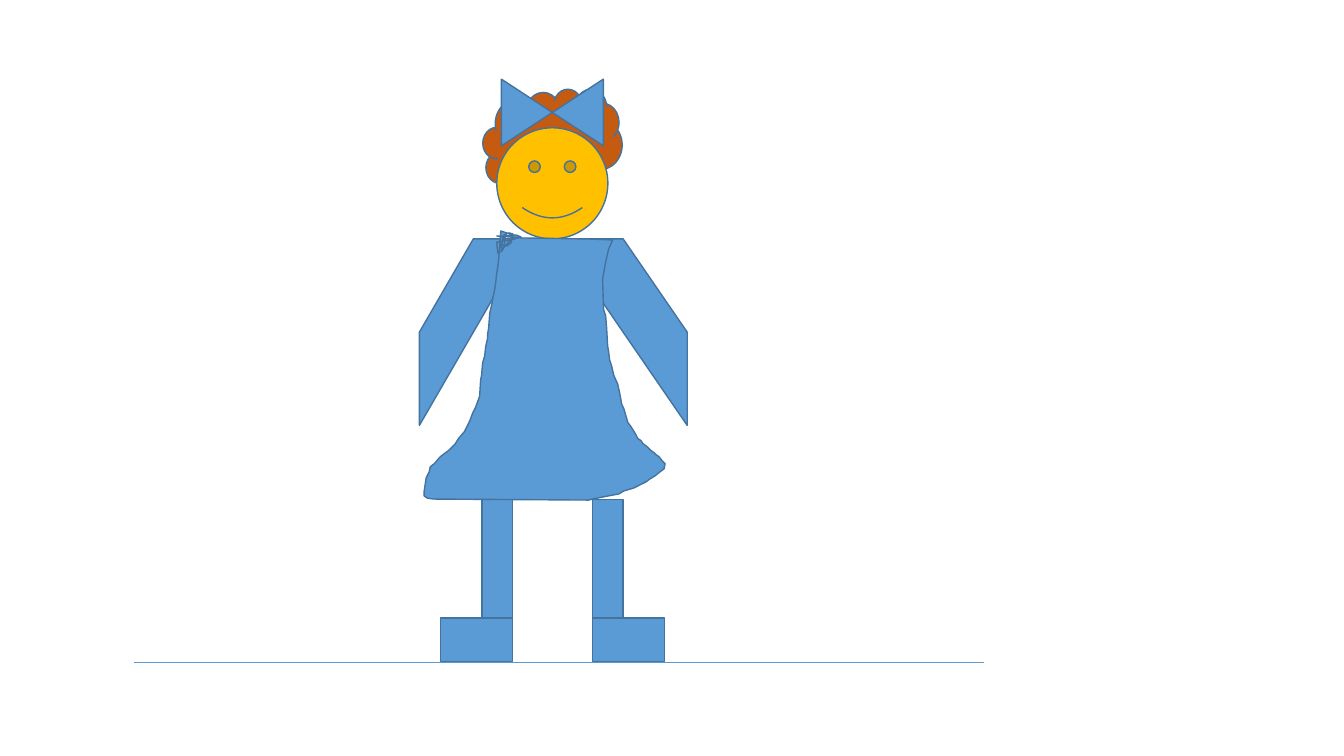
import pptx
import pptx.dml.color
import pptx.enum.shapes
import pptx.oxml
import pptx.util
from pptx.util import Cm

RGBColor = pptx.dml.color.RGBColor
SHAPE = pptx.enum.shapes.MSO_SHAPE

BLUE = RGBColor(0x5B, 0x9B, 0xD5)
OUTLINE_BLUE = RGBColor(0x43, 0x73, 0x9E)
HAIR_BROWN = RGBColor(0xC5, 0x5A, 0x11)
FACE_YELLOW = RGBColor(0xFF, 0xC0, 0x00)

# Dress points are hundredths of an inch from the dress box corner.
DRESS_UNIT = Cm(0.0254)
DRESS_NECK = [(72, 5), (97, 7), (163, 8), (187, 9)]
DRESS_RIGHT = [
    (183, 18), (180, 31), (177, 48), (178, 78), (180, 84), (181, 96),
    (182, 114), (183, 120), (184, 128), (186, 134), (188, 143), (192, 152),
    (194, 161), (196, 172), (198, 176), (202, 190), (205, 194), (210, 202),
    (212, 206), (215, 208), (217, 211), (221, 214), (224, 217), (228, 220),
    (230, 222), (233, 224), (236, 228), (239, 231)]
DRESS_HEM = [
    (238, 236), (234, 239), (229, 243), (224, 246), (220, 249), (214, 252),
    (208, 255), (198, 258), (193, 261), (182, 263), (167, 266), (163, 267),
    (9, 266), (3, 265), (0, 263), (0, 258), (2, 245), (5, 239), (6, 234)]
DRESS_LEFT = [
    (10, 231), (16, 224), (24, 218), (31, 211), (34, 206), (40, 199),
    (45, 189), (48, 181), (51, 175), (55, 164), (56, 148), (57, 143),
    (58, 131), (60, 124), (61, 115), (63, 106), (63, 102), (64, 96),
    (65, 82), (67, 73), (68, 67), (70, 58), (71, 51), (72, 42), (73, 36),
    (74, 27), (75, 14), (76, 0)]
DRESS_SCRIBBLE = [
    (85, 3), (87, 8), (86, 12), (82, 15), (77, 14), (78, 5), (84, 2),
    (88, 3), (88, 8), (86, 9), (80, 15), (77, 20), (76, 14), (81, 5),
    (91, 4), (96, 6), (86, 9), (72, 11), (73, 22), (77, 20), (80, 11),
    (79, 6), (72, 5)]


def style_line(line, color, width):
    """Give a line its colour and its width in points."""
    line.color.rgb = color
    for name, value in {"width": pptx.util.Pt(width)}.items():
        setattr(line, name, value)


def style_shape(shape, fill=BLUE, **formats):
    """Fill and outline a shape, then set any further attributes."""
    shape.shadow.inherit = False
    shape.fill.solid()
    shape.fill.fore_color.rgb = fill
    style_line(shape.line, OUTLINE_BLUE, 1)
    for name, value in formats.items():
        setattr(shape, name, value)
    return shape


def add_part(slide, kind, box, part, fill=BLUE, **formats):
    """Add a preset shape; part is in centimetres from the box corner."""
    left, top, width, height = part
    shape = slide.shapes.add_shape(
        kind, Cm(box[0] + left), Cm(box[1] + top), Cm(width), Cm(height))
    return style_shape(shape, fill, **formats)


def add_hair(slide, box):
    """Fill the box with a cloud of hair."""
    add_part(slide, SHAPE.CLOUD, box, (0, 0, box[2], box[3]), HAIR_BROWN)


def add_arms(slide, box):
    """Hang one sleeve from each side of the box."""
    right_width, left_width = 3.23, 2.72
    right_arm = add_part(slide, SHAPE.DIAGONAL_STRIPE, box,
                         (box[2] - right_width, 0, right_width, box[3]))
    right_arm._element.spPr.xfrm.set("flipH", "1")
    add_part(slide, SHAPE.DIAGONAL_STRIPE, box, (0, 0, left_width, box[3]))


def add_face(slide, box):
    """Place the round face at the foot of the box and the bow at its top."""
    face = box[2]
    add_part(slide, SHAPE.SMILEY_FACE, box,
             (0, box[3] - face, face, face), FACE_YELLOW)
    bow_width, bow_height = 1.68, 2.57
    add_part(slide, SHAPE.FLOWCHART_COLLATE, box,
             ((face - bow_width) / 2, 0, bow_width, bow_height), rotation=90)


def add_ground(slide, box):
    """Draw the ground along the top of the box."""
    left, top, width, _ = box
    ground = slide.shapes.add_connector(
        pptx.enum.shapes.MSO_CONNECTOR.STRAIGHT,
        Cm(left), Cm(top), Cm(left + width), Cm(top))
    style_line(ground.line, BLUE, 0.5)
    ground._element.spPr.append(pptx.oxml.parse_xml(
        '<a:effectLst xmlns:a='
        '"http://schemas.openxmlformats.org/drawingml/2006/main"/>'))


def add_legs(slide, box):
    """Stand two legs in the box, with shoes that point outwards."""
    leg_width, leg_height = 0.77, 3
    shoe_width, shoe_height = 1.82, 1.1
    right_inner = box[2] - shoe_width
    shoe_top = box[3] - shoe_height
    for left in (shoe_width - leg_width, right_inner):
        add_part(slide, SHAPE.RECTANGLE, box, (left, 0, leg_width, leg_height))
    for left in (right_inner, 0):
        add_part(slide, SHAPE.RECTANGLE, box,
                 (left, shoe_top, shoe_width, shoe_height))


def add_dress(slide, box):
    """Draw the hand-drawn dress from the top left corner of the box."""
    start, *points = (DRESS_NECK + DRESS_RIGHT + DRESS_HEM
                      + DRESS_LEFT + DRESS_SCRIBBLE)
    builder = slide.shapes.build_freeform(*start, scale=DRESS_UNIT)
    builder.add_line_segments(points, close=True)
    style_shape(builder.convert_to_shape(Cm(box[0]), Cm(box[1])))


REGIONS = [
    (add_hair, (12.17, 2.24, 3.51, 2.9)),
    (add_arms, (10.57, 6.02, 6.75, 4.7)),
    (add_face, (12.52, 1.55, 2.8, 4.47)),
    (add_ground, (3.38, 16.69, 21.41, 0)),
    (add_legs, (11.1, 12.59, 5.65, 4.08)),
    (add_dress, (10.69, 5.82, 6.07, 6.78)),
]

presentation = pptx.Presentation()
for name, value in {"slide_width": Cm(33.87),
                    "slide_height": Cm(19.05)}.items():
    setattr(presentation, name, value)
slide = presentation.slides.add_slide(presentation.slide_layouts[6])
for add_region, region_box in REGIONS:
    add_region(slide, region_box)
presentation.save("out.pptx")
